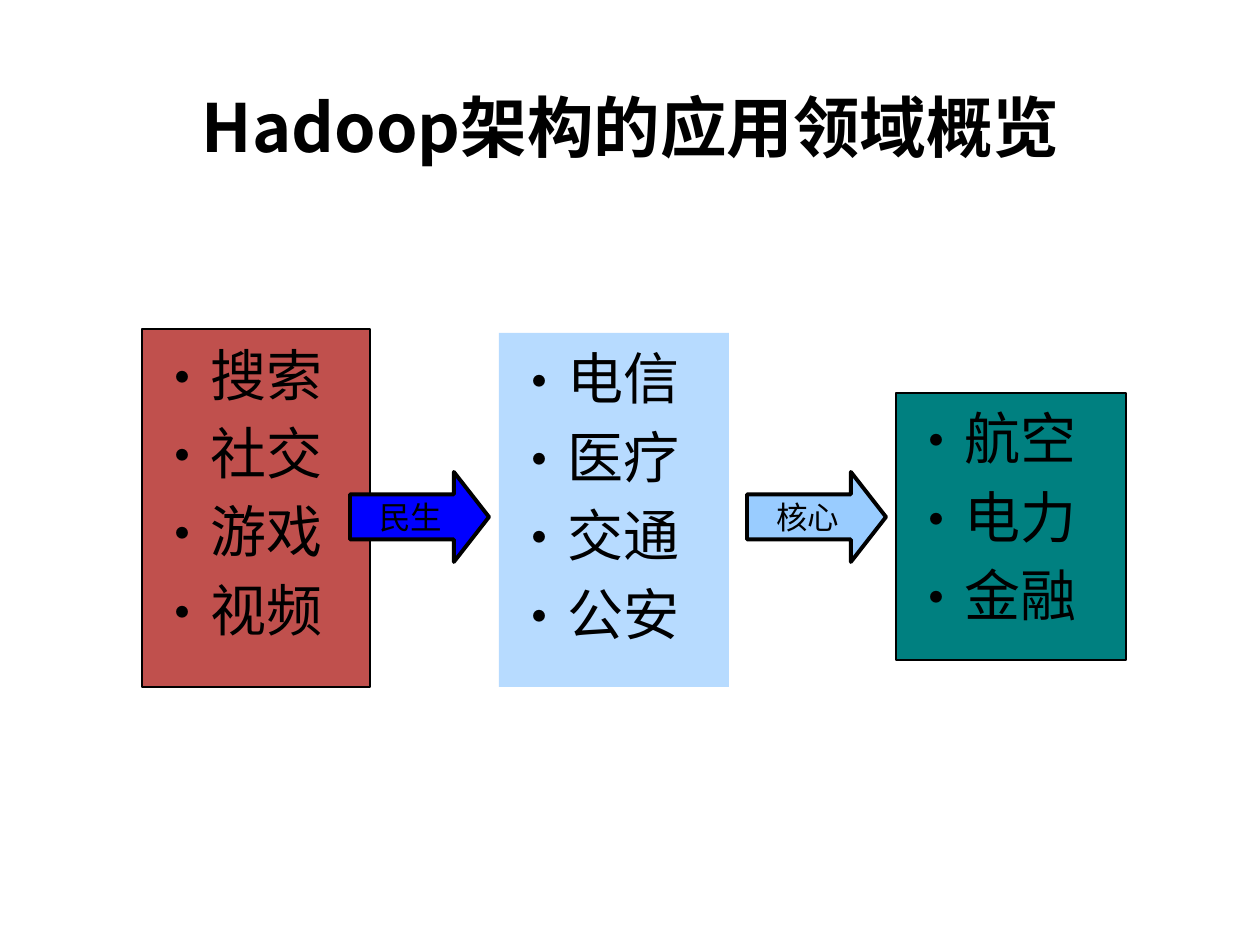
"""Build the slide on the application fields of the Hadoop architecture."""
from lxml.etree import SubElement
from pptx import Presentation
from pptx.dml.color import RGBColor
from pptx.enum.shapes import MSO_SHAPE as SHAPE
from pptx.enum.text import MSO_ANCHOR as ANCHOR, PP_ALIGN as ALIGN
from pptx.oxml.ns import qn
from pptx.util import Pt

PX = 914400 / 126
FONT = "Noto Sans CJK SC"
COLORS = {
    "text": "000000",
    "red": "C0504D",
    "sky": "99CCFF",
    "teal": "008080",
    "blue": "0000FF",
}


def px(*lengths):
    return [round(length * PX) for length in lengths]


def style_text(paragraph, size, bold=False):
    for run in paragraph.runs:
        run.font.name = FONT
        run.font.size = Pt(size)
        run.font.bold = bold
        run.font.color.rgb = RGBColor.from_string(COLORS["text"])
        SubElement(run.font._element, qn("a:ea"), typeface=FONT)


deck = Presentation()
deck.slide_width, deck.slide_height = px(1260, 945)
slide = deck.slides.add_slide(deck.slide_layouts[6])

title = slide.shapes.add_textbox(*px(64, 76, 1134, 100)).text_frame
title.word_wrap = True
title.vertical_anchor = ANCHOR.MIDDLE
title.text = "Hadoop架构的应用领域概览"
title.paragraphs[0].alignment = ALIGN.CENTER
style_text(title.paragraphs[0], 38, bold=True)

fields = [
    ((142, 329, 228, 358), "red", 100, True, ["搜索", "社交", "游戏", "视频"]),
    ((499, 333, 230, 354), "sky", 70, False, ["电信", "医疗", "交通", "公安"]),
    ((896, 393, 230, 267), "teal", 100, True, ["航空", "电力", "金融"]),
]
for position, color, opacity, outlined, industries in fields:
    panel = slide.shapes.add_shape(SHAPE.RECTANGLE, *px(*position))
    panel.shadow.inherit = False
    panel.fill.solid()
    panel.fill.fore_color.rgb = RGBColor.from_string(COLORS[color])
    if opacity < 100:
        tint = panel._element.spPr.find(".//" + qn("a:srgbClr"))
        SubElement(tint, qn("a:alpha"), val=str(opacity * 1000))
    if outlined:
        panel.line.color.rgb = RGBColor.from_string(COLORS["text"])
        panel.line.width = Pt(0.75)
    else:
        panel.line.fill.background()
    frame = panel.text_frame
    frame.word_wrap = True
    frame.vertical_anchor = ANCHOR.TOP
    frame.margin_top = px(11)[0]
    frame.text = "\n".join(industries)
    indent = px(48)[0]
    for index, industry in enumerate(frame.paragraphs):
        properties = industry._p.get_or_add_pPr()
        properties.set("marL", str(indent))
        properties.set("indent", str(-indent))
        SubElement(properties, qn("a:buFont"), typeface=FONT)
        SubElement(properties, qn("a:buChar"), char="•")
        industry.alignment = ALIGN.LEFT
        industry.line_spacing = Pt(38.4)
        industry.space_before = Pt(6.4 if index else 0)
        style_text(industry, 32)

for left, color, stage in [(350, "blue", "民生"), (747, "sky", "核心")]:
    arrow = slide.shapes.add_shape(SHAPE.RIGHT_ARROW, *px(left, 472, 139, 90))
    arrow.shadow.inherit = False
    arrow.adjustments[0] = 0.5
    arrow.adjustments[1] = 0.39
    arrow.fill.solid()
    arrow.fill.fore_color.rgb = RGBColor.from_string(COLORS[color])
    arrow.line.color.rgb = RGBColor.from_string(COLORS["text"])
    arrow.line.width = Pt(2.25)
    label = arrow.text_frame
    label.word_wrap = False
    label.vertical_anchor = ANCHOR.MIDDLE
    label.text = stage
    label.paragraphs[0].alignment = ALIGN.CENTER
    style_text(label.paragraphs[0], 18)

deck.save("out.pptx")
